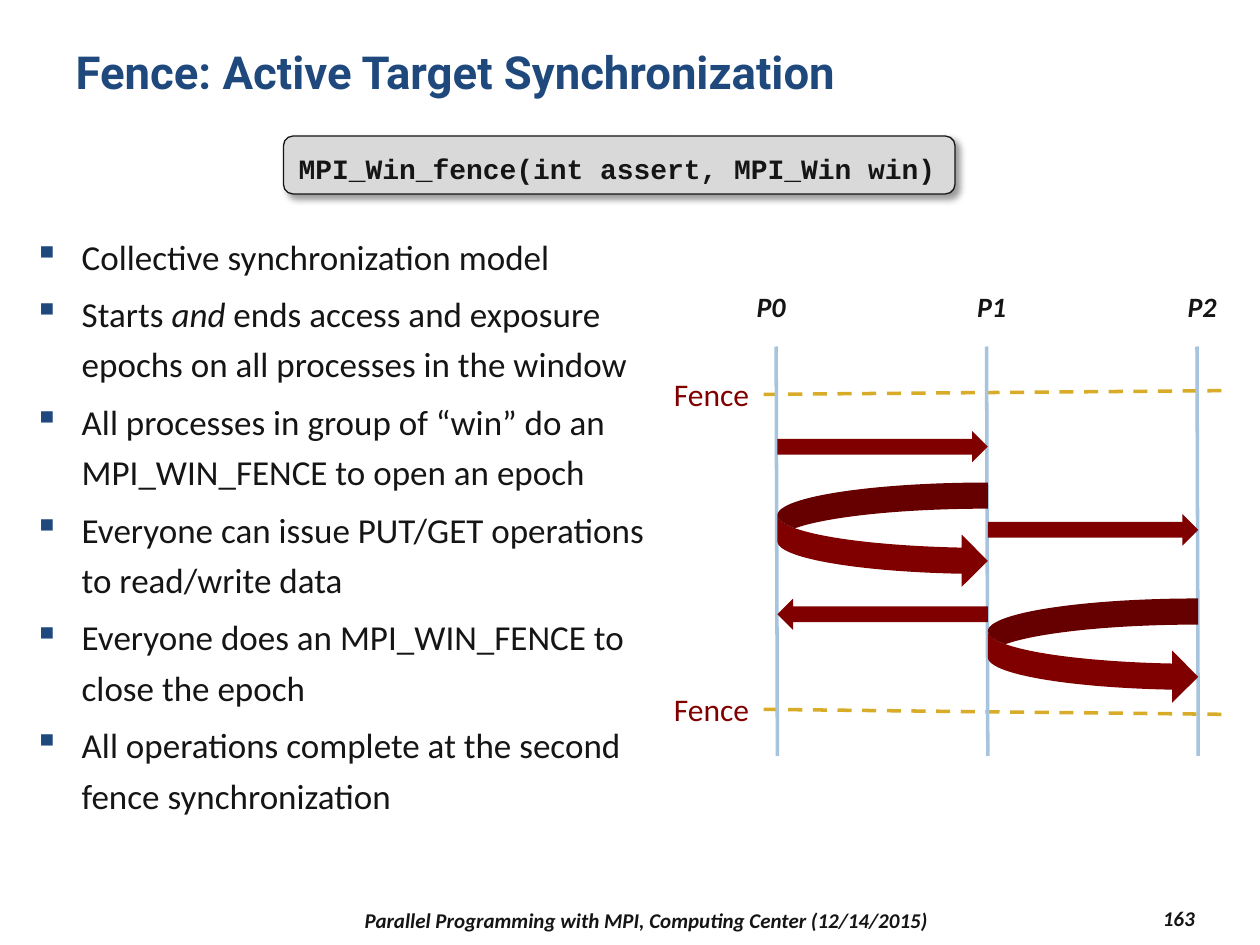
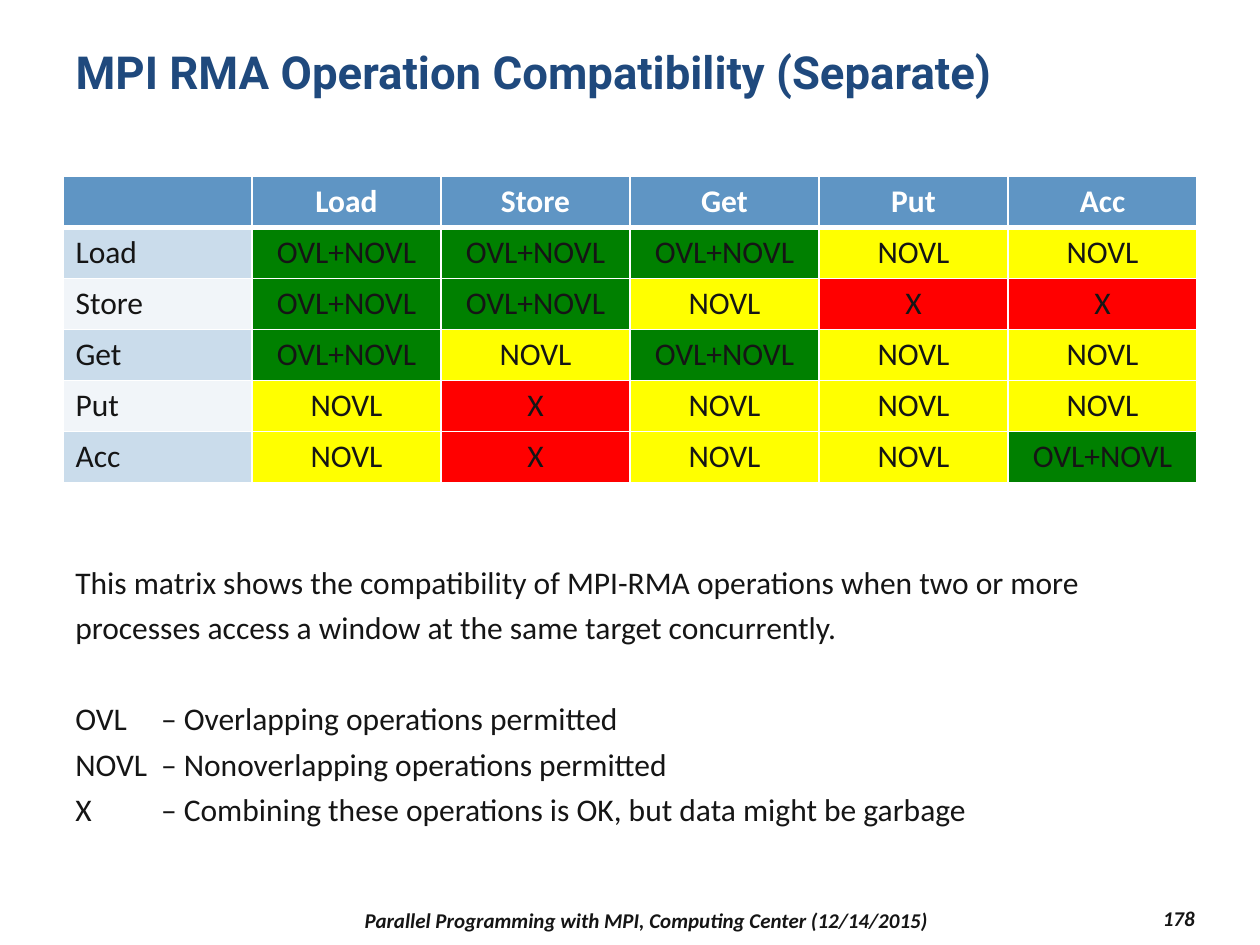
from lxml import etree
from pptx import Presentation
from pptx.dml.color import RGBColor
from pptx.enum.dml import MSO_LINE
from pptx.enum.shapes import MSO_CONNECTOR, MSO_SHAPE
from pptx.enum.text import MSO_ANCHOR, MSO_AUTO_SIZE, PP_ALIGN
from pptx.oxml import parse_xml
from pptx.oxml.ns import nsdecls, qn
from pptx.util import Inches, Pt

# Shared style
NAVY, INK, WHITE = "1F497D", "151515", "FFFFFF"
MAROON, GOLD, PALE_BLUE, GREY = "800000", "D8AC28", "A6C4DE", "D9D9D9"
HEADER_BLUE, BANDS = "5F95C4", ("CADCEB", "F1F5F9")
BODY_FONT, TITLE_FONT, CODE_FONT = "Calibri", "Roboto", "Courier New"
FOOTER = "Parallel Programming with MPI, Computing Center (12/14/2015)"

# Fence slide: each bullet is a list of (text, italic) parts
FENCE_TITLE = "Fence: Active Target Synchronization"
FENCE_CALL = "MPI_Win_fence(int assert, MPI_Win win)"
FENCE_BULLETS = [
    [("Collective synchronization model", False)],
    [("Starts ", False), ("and", True),
     (" ends access and exposure epochs on all processes in the window", False)],
    [("All processes in group of “win” do an MPI_WIN_FENCE to open an epoch", False)],
    [("Everyone can issue PUT/GET operations to read/write data", False)],
    [("Everyone does an MPI_WIN_FENCE to close the epoch", False)],
    [("All operations complete at the second fence synchronization", False)],
]
PROCESSES = [("P0", 5.83), ("P1", 7.58), ("P2", 9.25)]  # label, label left
FENCES = [(3.13, 3.10), (5.63, 5.67)]  # height at the left and right end
TRANSFERS = [  # shape, index of the process on its left, top, height
    (MSO_SHAPE.RIGHT_ARROW, 0, 3.42, 0.25),
    (MSO_SHAPE.CURVED_RIGHT_ARROW, 0, 3.83, 0.83),
    (MSO_SHAPE.LEFT_ARROW, 0, 4.75, 0.25),
    (MSO_SHAPE.RIGHT_ARROW, 1, 4.08, 0.25),
    (MSO_SHAPE.CURVED_RIGHT_ARROW, 1, 4.75, 0.83),
]
FIRST_PROCESS, PROCESS_GAP = 6.17, 1.67

# Compatibility slide
MATRIX_TITLE = "MPI RMA Operation Compatibility (Separate)"
OPERATIONS = ["Load", "Store", "Get", "Put", "Acc"]
BOTH, APART, BAD = "OVL+NOVL", "NOVL", "X"
VERDICT_FILLS = {BOTH: "008000", APART: "FFFF00", BAD: "FF0000"}
MATRIX = [
    [BOTH, BOTH, BOTH, APART, APART],
    [BOTH, BOTH, APART, BAD, BAD],
    [BOTH, APART, BOTH, APART, APART],
    [APART, BAD, APART, APART, APART],
    [APART, BAD, APART, APART, BOTH],
]
MATRIX_NOTE = ("This matrix shows the compatibility of MPI-RMA operations when "
               "two or more processes access a window at the same target concurrently.")
LEGEND = [
    (BOTH.split("+")[0], "Overlapping operations permitted"),
    (APART, "Nonoverlapping operations permitted"),
    (BAD, "Combining these operations is OK, but data might be garbage"),
]


def color(hex_string):
    return RGBColor.from_string(hex_string)


def style(paragraph, size, ink=INK, font=BODY_FONT, bold=False, italic=False,
          align=PP_ALIGN.LEFT):
    paragraph.alignment = align
    for run in paragraph.runs:
        run.font.size = Pt(size)
        run.font.name = font
        run.font.bold = bold
        run.font.italic = italic
        run.font.color.rgb = color(ink)


def add_text(slide, box, text, size, anchor=MSO_ANCHOR.TOP, **look):
    shape = slide.shapes.add_textbox(*map(Inches, box))
    frame = shape.text_frame
    frame.word_wrap = True
    frame.vertical_anchor = anchor
    frame.text = text
    style(frame.paragraphs[0], size, **look)
    return frame


def add_line(slide, start, end, ink, dash=None):
    line = slide.shapes.add_connector(
        MSO_CONNECTOR.STRAIGHT, *map(Inches, start + end))
    line.line.color.rgb = color(ink)
    line.line.width = Pt(2)
    if dash:
        line.line.dash_style = dash
    etree.SubElement(line._element.spPr, qn("a:effectLst"))


def add_shape(slide, kind, box, fill):
    shape = slide.shapes.add_shape(kind, *map(Inches, box))
    shape.shadow.inherit = False
    shape.fill.solid()
    shape.fill.fore_color.rgb = color(fill)
    shape.line.fill.background()
    return shape


def start_slide(presentation, title, number):
    slide = presentation.slides.add_slide(presentation.slide_layouts[5])
    shape = slide.shapes.title
    shape.left, shape.top, shape.width, shape.height = map(Inches, (0.5, 0.3, 9, 0.87))
    frame = shape.text_frame
    frame.text = title
    frame.auto_size = MSO_AUTO_SIZE.NONE
    frame.vertical_anchor = MSO_ANCHOR.TOP
    style(frame.paragraphs[0], 26, NAVY, TITLE_FONT, bold=True)
    # Footer and slide number
    for box, text, align in [((8.5, 7.15, 1.08, 0.27), str(number), PP_ALIGN.RIGHT),
                             ((2.17, 7.17, 5.92, 0.27), FOOTER, PP_ALIGN.CENTER)]:
        add_text(slide, box, text, 12, MSO_ANCHOR.MIDDLE,
                 bold=True, italic=True, align=align)
    return slide


def add_bullets(slide, box, bullets):
    frame = add_text(slide, box, "", 20)
    for index, parts in enumerate(bullets):
        paragraph = frame.add_paragraph() if index else frame.paragraphs[0]
        paragraph.line_spacing = 1.2
        if index:
            paragraph.space_before = Pt(4)
        properties = paragraph._p.get_or_add_pPr()
        properties.set("marL", str(Inches(0.38)))
        properties.set("indent", str(-Inches(0.38)))
        bullet_color = etree.SubElement(properties, qn("a:buClr"))
        etree.SubElement(bullet_color, qn("a:srgbClr"), val=NAVY)
        etree.SubElement(properties, qn("a:buChar"), char="▪")
        for text, _ in parts:
            paragraph.add_run().text = text
        style(paragraph, 20)
        for run, (_, italic) in zip(paragraph.runs, parts):
            run.font.italic = italic


def add_code_box(slide):
    shape = add_shape(slide, MSO_SHAPE.ROUNDED_RECTANGLE, (2.25, 1.08, 5.33, 0.46), GREY)
    shape.line.color.rgb = color(INK)
    shape.line.width = Pt(0.75)
    effects = shape._element.spPr.find(qn("a:effectLst"))
    effects.append(parse_xml(
        f'<a:outerShdw {nsdecls("a")} blurRad="{Pt(4)}" dist="{Pt(3)}" dir="2700000">'
        '<a:srgbClr val="000000"><a:alpha val="40000"/></a:srgbClr></a:outerShdw>'))
    frame = shape.text_frame
    frame.text = FENCE_CALL
    frame.vertical_anchor = MSO_ANCHOR.MIDDLE
    paragraph = frame.paragraphs[0]
    paragraph.line_spacing = 1.2
    style(paragraph, 16, font=CODE_FONT, bold=True)


def build_fence_slide(presentation):
    slide = start_slide(presentation, FENCE_TITLE, 163)
    add_code_box(slide)
    add_bullets(slide, (0.17, 1.75, 5.08, 5.17), FENCE_BULLETS)

    # Process timelines and fences
    for left_y, right_y in FENCES:
        add_line(slide, (6.06, left_y), (9.75, right_y), GOLD, MSO_LINE.DASH)
        add_text(slide, (5.25, left_y - 0.2, 0.81, 0.4), "Fence", 18, ink=MAROON)
    for index, (name, label_left) in enumerate(PROCESSES):
        x = FIRST_PROCESS + index * PROCESS_GAP
        add_line(slide, (x - 0.01, 2.75), (x, 6), PALE_BLUE)
        add_text(slide, (label_left, 2.25, 0.58, 0.37), name, 16,
                 bold=True, italic=True, align=PP_ALIGN.CENTER)

    # Data transfers between neighbouring processes
    for kind, index, top, height in TRANSFERS:
        left = FIRST_PROCESS + index * PROCESS_GAP
        add_shape(slide, kind, (left, top, PROCESS_GAP, height), MAROON)


def set_borders(cell, top=1, bottom=1):
    properties = cell._tc.get_or_add_tcPr()
    widths = {"lnL": 1, "lnR": 1, "lnT": top, "lnB": bottom}
    for position, (side, width) in enumerate(widths.items()):
        properties.insert(position, parse_xml(
            f'<a:{side} {nsdecls("a")} w="{Pt(width)}"><a:solidFill>'
            f'<a:srgbClr val="{WHITE}"/></a:solidFill></a:{side}>'))


def add_matrix(slide):
    rows = [[""] + OPERATIONS]
    rows += [[name] + verdicts for name, verdicts in zip(OPERATIONS, MATRIX)]
    size = len(rows)
    table = slide.shapes.add_table(
        size, size, *map(Inches, (0.5, 1.4, 9, 2.43))).table
    for row_index, row in enumerate(rows):
        is_header = row_index == 0
        for column_index, text in enumerate(row):
            cell = table.cell(row_index, column_index)
            cell.text = text
            if is_header:
                fill = HEADER_BLUE
            elif column_index == 0:
                fill = BANDS[(row_index - 1) % 2]
            else:
                fill = VERDICT_FILLS[text]
            cell.fill.solid()
            cell.fill.fore_color.rgb = color(fill)
            set_borders(cell, top=3 if row_index == 1 else 1, bottom=3 if is_header else 1)
            style(cell.text_frame.paragraphs[0], 18, WHITE if is_header else INK,
                  bold=is_header,
                  align=PP_ALIGN.CENTER if column_index else PP_ALIGN.LEFT)


def build_matrix_slide(presentation):
    slide = start_slide(presentation, MATRIX_TITLE, 178)
    add_matrix(slide)

    # Explanation and legend
    frame = add_text(slide, (0.5, 4.36, 9, 2.27), MATRIX_NOTE, 18)
    frame.paragraphs[0].line_spacing = 1.2
    for index, (term, meaning) in enumerate(LEGEND):
        paragraph = frame.add_paragraph()
        paragraph.text = f"{term}\t– {meaning}"
        paragraph.line_spacing = 1.2
        if index == 0:
            paragraph.space_before = Pt(26)
        tabs = etree.SubElement(paragraph._p.get_or_add_pPr(), qn("a:tabLst"))
        etree.SubElement(tabs, qn("a:tab"), pos=str(Inches(0.68)), algn="l")
        style(paragraph, 18)


def main():
    presentation = Presentation()
    presentation.slide_width = Inches(10)
    presentation.slide_height = Inches(7.5)
    build_fence_slide(presentation)
    build_matrix_slide(presentation)
    presentation.save("out.pptx")


if __name__ == "__main__":
    main()
